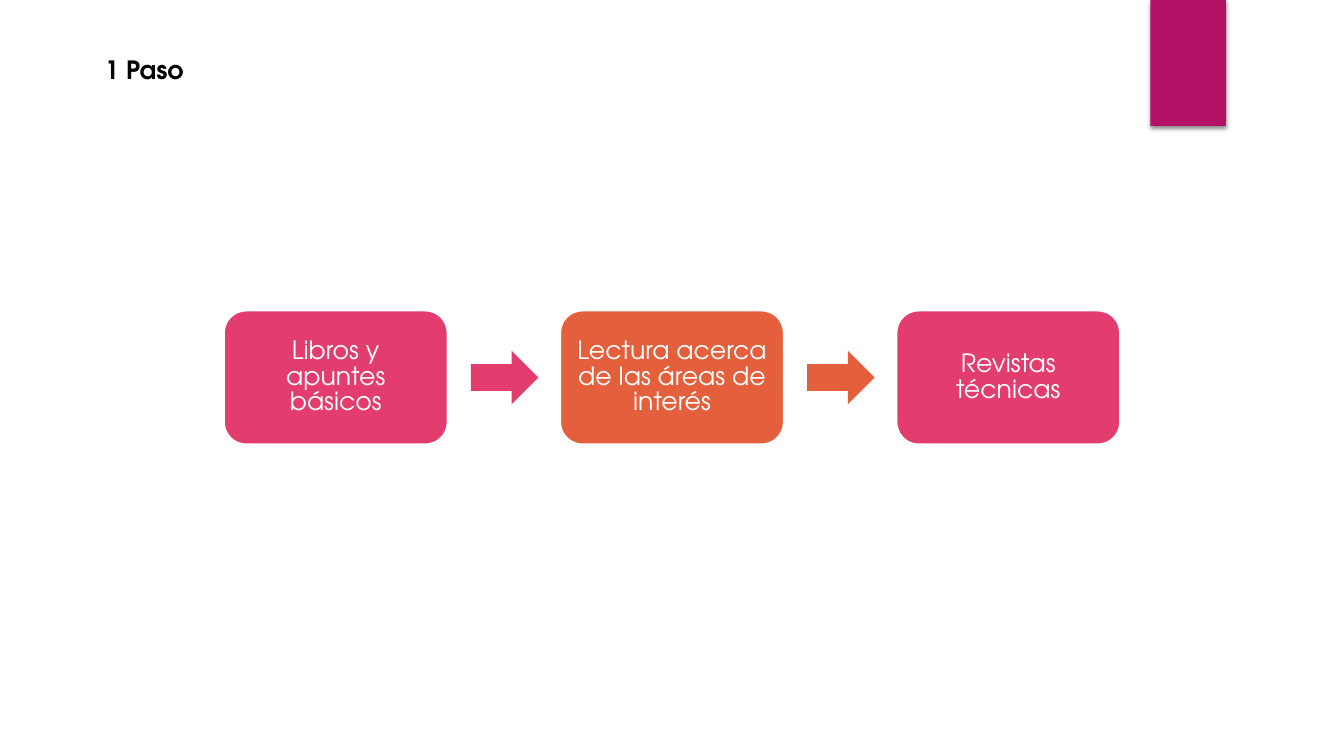
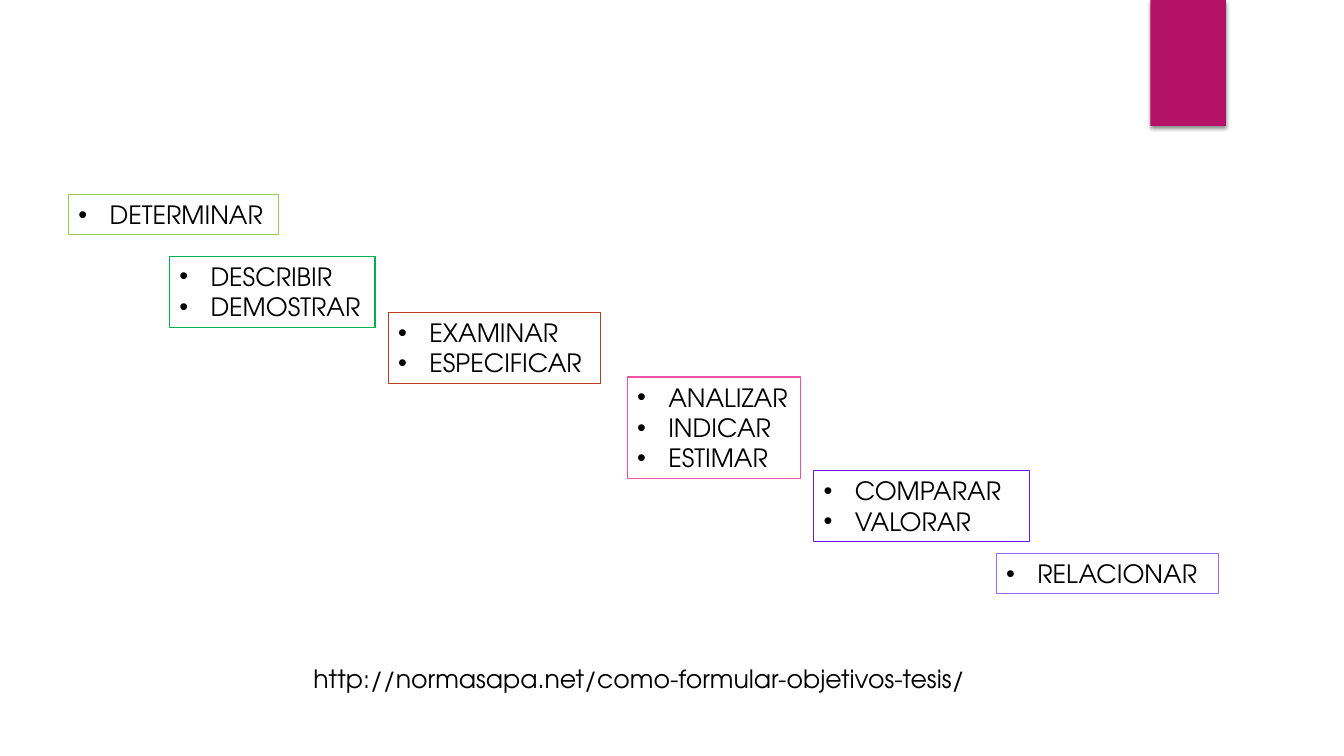
from dataclasses import dataclass

from lxml.etree import SubElement
from pptx import Presentation
from pptx.dml.color import RGBColor
from pptx.enum.shapes import MSO_SHAPE
from pptx.enum.text import MSO_ANCHOR, MSO_AUTO_SIZE, PP_ALIGN
from pptx.oxml.ns import qn
from pptx.util import Inches, Pt


@dataclass(frozen=True)
class Theme:
    font: str = "TeX Gyre Adventor"
    size: int = 18
    text: str = "000000"
    light: str = "FFFFFF"
    band: str = "B31166"
    pink: str = "E33D6F"
    orange: str = "E45F3C"


THEME = Theme()


def add_block(slide, preset, box, fill=None, line=None, line_width=0.75):
    """Add a shadowless shape; box is left, top, width, height in inches."""
    block = slide.shapes.add_shape(preset, *map(Inches, box))
    block.shadow.inherit = False
    if fill:
        block.fill.solid()
        block.fill.fore_color.rgb = RGBColor.from_string(fill)
    else:
        block.fill.background()
    if line:
        block.line.color.rgb = RGBColor.from_string(line)
        block.line.width = Pt(line_width)
    else:
        block.line.fill.background()
    return block


def style(paragraph, color=THEME.text, align=PP_ALIGN.LEFT, bold=False):
    paragraph.alignment = align
    font = paragraph.font
    font.name = THEME.font
    font.size = Pt(THEME.size)
    font.bold = bold
    font.color.rgb = RGBColor.from_string(color)


prs = Presentation()
prs.slide_width = Inches(13.33)
prs.slide_height = Inches(7.5)
title_only, blank = prs.slide_layouts[5], prs.slide_layouts[6]

# Slide 1: reading steps
steps_slide = prs.slides.add_slide(title_only)

# The band moves to the master, so every slide shows it
band = add_block(steps_slide, MSO_SHAPE.RECTANGLE, (11.41, 0, 0.75, 1.25), THEME.band)
effects = band.element.spPr.find(qn("a:effectLst"))
shadow = SubElement(effects, qn("a:outerShdw"), blurRad=str(Pt(3)), dist=str(Pt(2)),
                    dir="5400000", algn="ctr", rotWithShape="0")
shadow_color = SubElement(shadow, qn("a:srgbClr"), val="000000")
SubElement(shadow_color, qn("a:alpha"), val="45000")
band.element.nvSpPr.cNvPr.set("id", "99")
prs.slide_master.shapes.element.insert(2, band.element)

title = steps_slide.shapes.title
title.left, title.top, title.width, title.height = map(Inches, (0.94, 0.49, 1.01, 0.4))
title.text_frame.text = "1 Paso"
title.text_frame.vertical_anchor = MSO_ANCHOR.TOP
title.text_frame.auto_size = MSO_AUTO_SIZE.SHAPE_TO_FIT_TEXT
style(title.text_frame.paragraphs[0], bold=True)

STEPS = [
    ("Libros y apuntes básicos", THEME.pink),
    ("Lectura acerca de las áreas de interés", THEME.orange),
    ("Revistas técnicas", THEME.pink),
]
STEP_LEFT, STEP_PITCH, ARROW_OFFSET = 2.22, 3.335, 2.45
for i, (label, color) in enumerate(STEPS):
    left = STEP_LEFT + i * STEP_PITCH
    step = add_block(steps_slide, MSO_SHAPE.ROUNDED_RECTANGLE, (left, 3.08, 2.22, 1.33),
                     color, THEME.light, 1.5)
    step.text_frame.text = label
    step.text_frame.vertical_anchor = MSO_ANCHOR.MIDDLE
    step.text_frame.paragraphs[0].line_spacing = 0.85
    style(step.text_frame.paragraphs[0], THEME.light, PP_ALIGN.CENTER)
    if i < len(STEPS) - 1:
        add_block(steps_slide, MSO_SHAPE.RIGHT_ARROW,
                  (left + ARROW_OFFSET, 3.48, 0.67, 0.53), color)

# Slide 2: staircase of verbs
verbs_slide = prs.slides.add_slide(blank)
VERB_GROUPS = [
    (0.68, 1.93, 2.08, "92D050", ["DETERMINAR"]),
    (1.68, 2.54, 2.04, "00B050", ["DESCRIBIR", "DEMOSTRAR"]),
    (3.85, 3.10, 2.11, "BD3C1A", ["EXAMINAR", "ESPECIFICAR"]),
    (6.22, 3.74, 1.72, "EE52A4", ["ANALIZAR", "INDICAR", "ESTIMAR"]),
    (8.07, 4.67, 2.14, "641AEA", ["COMPARAR", "VALORAR"]),
    (9.88, 5.49, 2.21, "9B6BF2", ["RELACIONAR"]),
]
FIRST_LINE, NEXT_LINE, INDENT = 0.4, 0.305, Inches(0.31)
for left, top, width, color, verbs in VERB_GROUPS:
    height = FIRST_LINE + NEXT_LINE * (len(verbs) - 1)
    group = add_block(verbs_slide, MSO_SHAPE.RECTANGLE, (left, top, width, height), line=color)
    frame = group.text_frame
    frame.text = "\n".join(verbs)
    frame.vertical_anchor = MSO_ANCHOR.TOP
    frame.auto_size = MSO_AUTO_SIZE.SHAPE_TO_FIT_TEXT
    for verb in frame.paragraphs:
        properties = verb._p.get_or_add_pPr()
        properties.set("marL", str(INDENT))
        properties.set("indent", str(-INDENT))
        SubElement(properties, qn("a:buFont"), typeface="Arial")
        SubElement(properties, qn("a:buChar"), char="•")
        style(verb)

source = verbs_slide.shapes.add_textbox(*map(Inches, (3.01, 6.53, 6.68, 0.4)))
source.text_frame.word_wrap = True
source.text_frame.auto_size = MSO_AUTO_SIZE.SHAPE_TO_FIT_TEXT
source.text_frame.text = "http://normasapa.net/como-formular-objetivos-tesis/"
style(source.text_frame.paragraphs[0])

prs.save("out.pptx")
